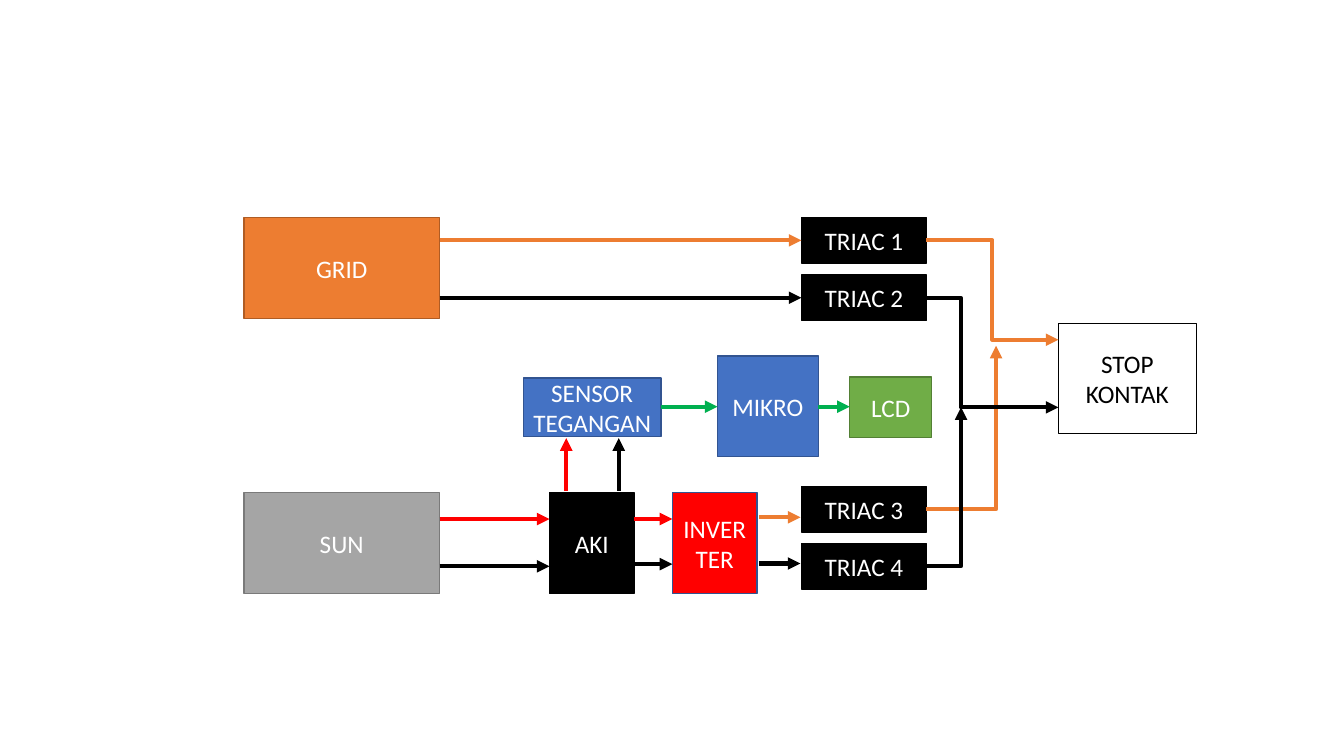
import pptx
import pptx.dml.color
import pptx.enum.shapes
import pptx.enum.text
import pptx.oxml
import pptx.oxml.ns
import pptx.util
from dataclasses import dataclass

Pt = pptx.util.Pt


@dataclass(frozen=True)
class Theme:
    font: str = "Calibri"
    text_size: float = 18
    border: float = 1
    wire: float = 3
    white: str = "FFFFFF"
    black: str = "000000"
    orange: str = "ED7D31"
    orange_edge: str = "AF5C24"
    grey: str = "A5A5A5"
    grey_edge: str = "7A7A7A"
    red: str = "FF0000"
    blue: str = "4472C4"
    blue_edge: str = "325491"
    green: str = "70AD47"
    green_edge: str = "538035"
    signal: str = "00B050"


class Diagram:
    """Draws blocks and wires on the current page, in points."""

    def __init__(self, page, theme):
        self.page = page
        self.theme = theme

    def color(self, code):
        return pptx.dml.color.RGBColor.from_string(code)

    def block(self, text, left, top, width, height, fill, edge, ink=None):
        box = self.page.shapes.add_shape(
            pptx.enum.shapes.MSO_SHAPE.RECTANGLE,
            Pt(left), Pt(top), Pt(width), Pt(height))
        box.shadow.inherit = False
        box.fill.solid()
        box.fill.fore_color.rgb = self.color(fill)
        box.line.color.rgb = self.color(edge)
        box.line.width = Pt(self.theme.border)
        frame = box.text_frame
        frame.word_wrap = True
        frame.vertical_anchor = pptx.enum.text.MSO_ANCHOR.MIDDLE
        frame.text = text
        para = frame.paragraphs[0]
        para.alignment = pptx.enum.text.PP_ALIGN.CENTER
        for span in para.runs:
            span.font.name = self.theme.font
            span.font.size = Pt(self.theme.text_size)
            span.font.color.rgb = self.color(ink or self.theme.white)

    def arrow(self, start, end, color, kind="STRAIGHT"):
        wire = self.page.shapes.add_connector(
            pptx.enum.shapes.MSO_CONNECTOR[kind],
            Pt(start[0]), Pt(start[1]), Pt(end[0]), Pt(end[1]))
        wire.line.color.rgb = self.color(color)
        wire.line.width = Pt(self.theme.wire)
        head = pptx.oxml.parse_xml(
            f'<a:tailEnd {pptx.oxml.ns.nsdecls("a")} type="triangle"/>')
        wire.element.xpath(".//a:ln")[0].append(head)
        wire.element.spPr.append(pptx.oxml.parse_xml(
            f'<a:effectLst {pptx.oxml.ns.nsdecls("a")}/>'))
        return wire

    def step(self, start, end, color, bend):
        """Across, up or down at the given share of the width, across."""
        wire = self.arrow(start, end, color, "ELBOW")
        guides = wire.element.xpath(".//a:prstGeom/a:avLst")[0]
        guides.append(pptx.oxml.parse_xml(
            f'<a:gd {pptx.oxml.ns.nsdecls("a")} name="adj1" '
            f'fmla="val {round(bend * 100000)}"/>'))

    def corner(self, start, end, color):
        """Across, then up or down."""
        wire = self.arrow(start, end, color, "ELBOW")
        wire.element.xpath(".//a:prstGeom")[0].set("prst", "bentConnector2")


def main():
    deck = pptx.Presentation()
    deck.slide_width, deck.slide_height = Pt(960), Pt(540)
    theme = Theme()
    diagram = Diagram(deck.slides.add_slide(deck.slide_layouts[6]), theme)

    # Shared edges of the blocks
    source_left, source_width = 174.25, 139.75
    source_right = source_left + source_width
    upper, lower, tall = 155.5, 352, 72
    battery_left, inverter_left, cell = 392.5, 480.25, 60.5
    triac_left, triac_width, triac_height = 572.5, 89.25, 32.4
    triac_right = triac_left + triac_width
    triac_tops = (155.5, 196.5, 347.5, 388.25)
    triac_mids = [top + triac_height / 2 for top in triac_tops]
    sensor_left, control_width = 373.75, 98.5
    controller_left, lcd_left = 512.5, 607
    socket_left, middle = 756, 290.5

    # Sources, storage and switches
    diagram.block("GRID", source_left, upper, source_width, tall,
                  theme.orange, theme.orange_edge)
    diagram.block("SUN", source_left, lower, source_width, tall,
                  theme.grey, theme.grey_edge)
    diagram.block("AKI", battery_left, lower, cell, tall,
                  theme.black, theme.black)
    diagram.block("INVERTER", inverter_left, lower, cell, tall,
                  theme.red, theme.blue_edge)
    for number, top in enumerate(triac_tops, 1):
        diagram.block(f"TRIAC {number}", triac_left, top, triac_width,
                      triac_height, theme.black, theme.black)

    # Control and outlet
    diagram.block("MIKRO", controller_left, 254.25, tall, tall,
                  theme.blue, theme.blue_edge)
    diagram.block("SENSOR TEGANGAN", sensor_left, 270, control_width, 42,
                  theme.blue, theme.blue_edge)
    diagram.block("STOP KONTAK", socket_left, 231, control_width, 78.5,
                  theme.white, theme.black, theme.black)
    diagram.block("LCD", lcd_left, 269.25, 58.5, 43.25,
                  theme.green, theme.green_edge)

    # Horizontal wires: left, right, height, color
    for left, right, height, color in (
            (source_right, triac_left, triac_mids[0], theme.orange),
            (source_right, triac_left, triac_mids[1], theme.black),
            (source_right, battery_left, 370.75, theme.red),
            (source_right, battery_left, 404.5, theme.black),
            (battery_left + cell, inverter_left, 370.75, theme.red),
            (battery_left + cell, inverter_left, 403, theme.black),
            (542, 571.75, 369.5, theme.orange),
            (542, 571.75, 402.5, theme.black),
            (sensor_left + control_width, controller_left, middle,
             theme.signal),
            (controller_left + tall, lcd_left, middle, theme.signal)):
        diagram.arrow((left, height), (right, height), color)

    # Battery to voltage sensor
    for across, color in ((404.5, theme.red), (442, theme.black)):
        diagram.arrow((across, 350.5), (across, 313), color)

    # Switches to outlet
    starts = [(triac_right, mid) for mid in triac_mids]
    diagram.step(starts[0], (socket_left, 242.75), theme.orange, 0.5)
    diagram.corner(starts[2], (711.5, 247), theme.orange)
    diagram.step(starts[1], (socket_left, 291), theme.black, 0.26)
    diagram.corner(starts[3], (686.5, 291), theme.black)

    deck.save("out.pptx")


if __name__ == "__main__":
    main()
